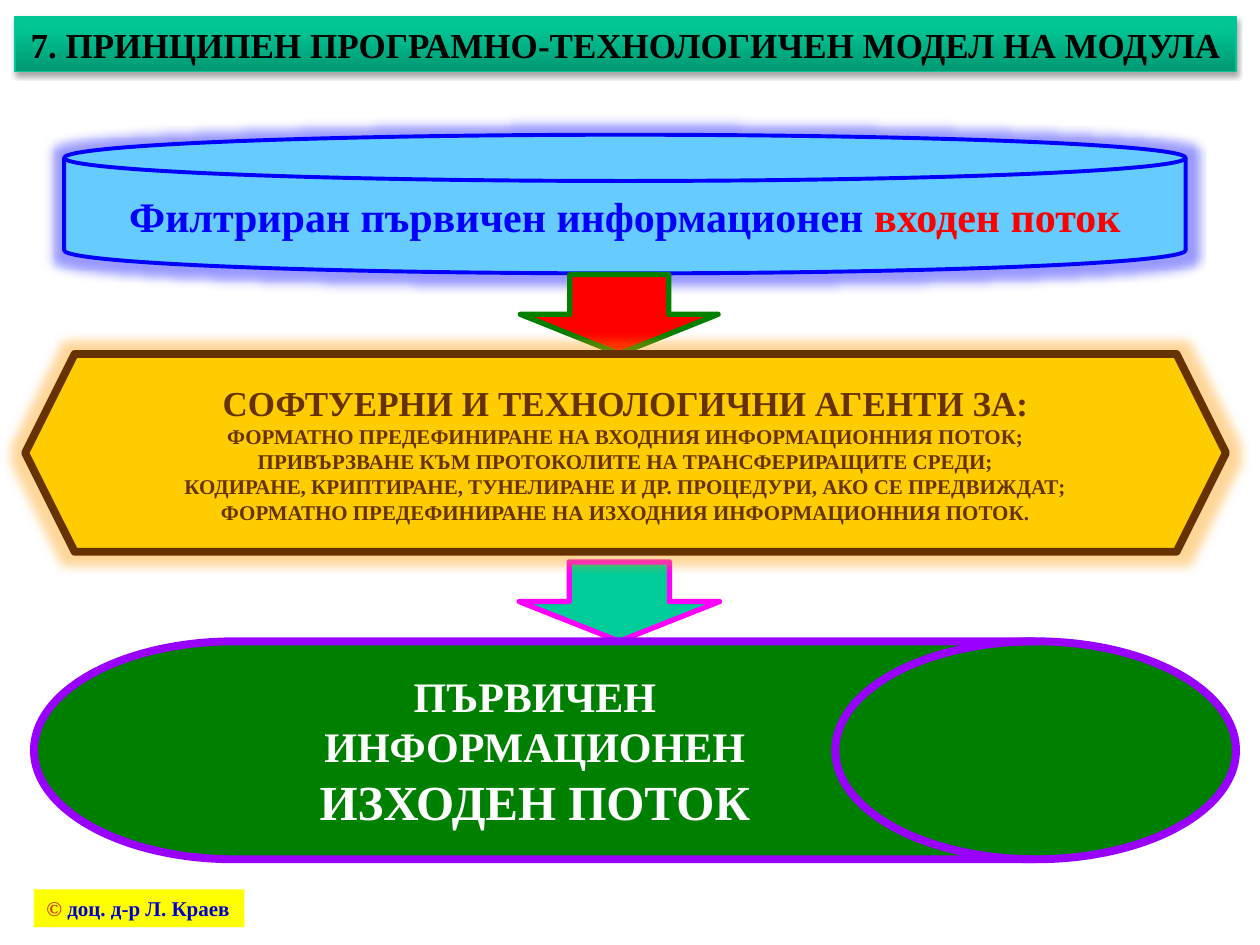
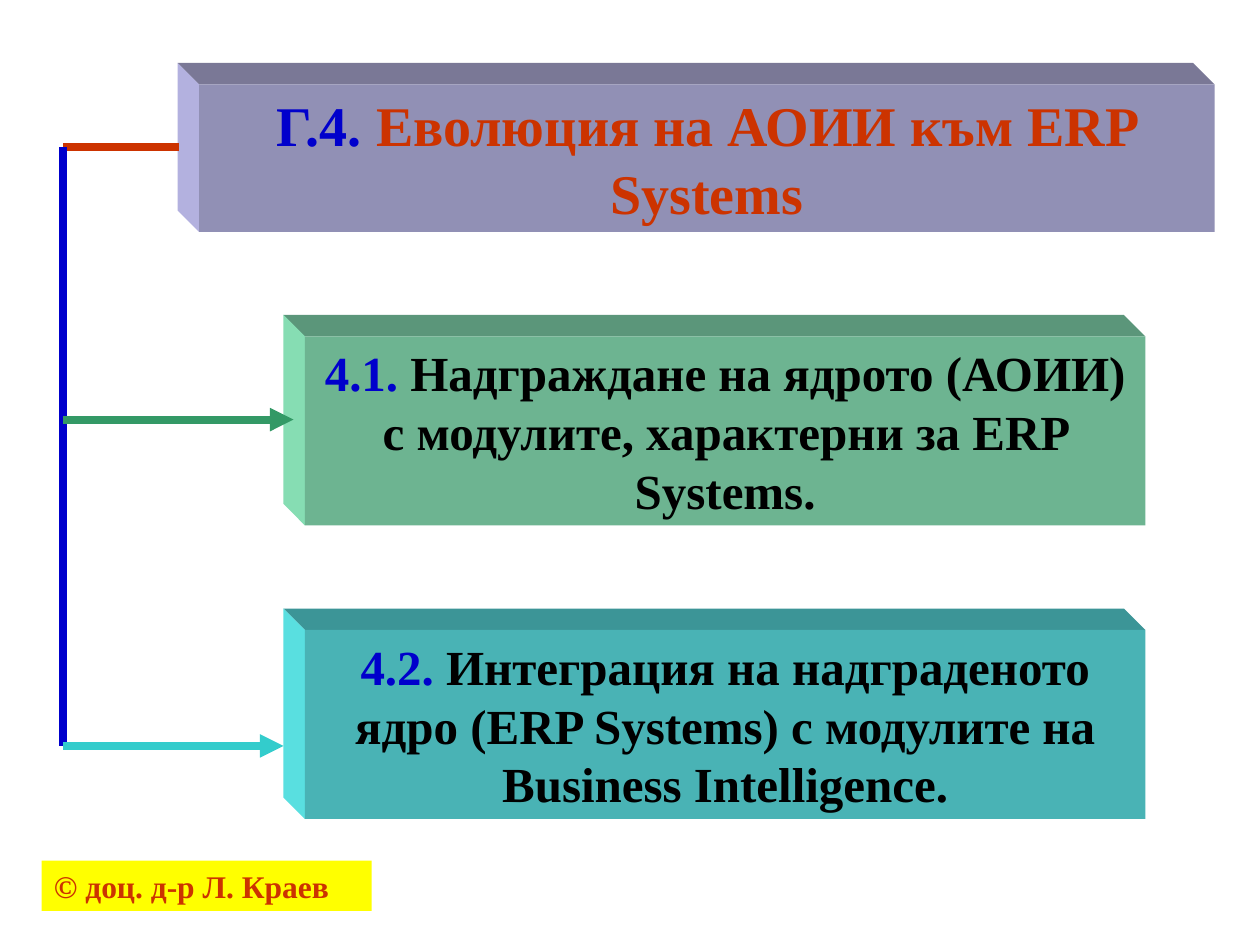
from lxml import etree
from pptx import Presentation
from pptx.dml.color import RGBColor
from pptx.enum.shapes import MSO_CONNECTOR, MSO_SHAPE
from pptx.enum.text import MSO_ANCHOR, PP_ALIGN
from pptx.oxml.ns import qn
from pptx.util import Inches, Pt

FONT = "Times New Roman"
LEFT, CENTER = PP_ALIGN.LEFT, PP_ALIGN.CENTER
MIDDLE = MSO_ANCHOR.MIDDLE
RECTANGLE, ARROW = MSO_SHAPE.RECTANGLE, MSO_SHAPE.DOWN_ARROW
DISK, DRUM = MSO_SHAPE.FLOWCHART_MAGNETIC_DISK, MSO_SHAPE.FLOWCHART_DIRECT_ACCESS_STORAGE
HEXAGON, STRAIGHT = MSO_SHAPE.HEXAGON, MSO_CONNECTOR.STRAIGHT

COLORS = {
    "black": "000000", "white": "FFFFFF", "yellow": "FFFF00", "rust": "CC3300",
    "navy": "0000CC", "blue": "0000FF", "sky": "66CCFF", "red": "FF0000",
    "green": "008000", "mint": "00CC99", "magenta": "FF00FF", "purple": "9900FF",
    "gold": "FFCC00", "brown": "663300", "orange": "FF9900",
    "band dark": "009872", "band light": "00C694",
    "sea": "339966", "turquoise": "33CCCC",
    "lilac front": "9190B5", "lilac top": "7A7896", "lilac side": "B3B1DF",
    "jade front": "6DB491", "jade top": "5B967A", "jade side": "86DDB3",
    "teal front": "49B3B5", "teal top": "3C9597", "teal side": "59DFE0",
}

# Content: a paragraph is a list of (text, size, color) spans
AUTHOR = "доц. д-р Л. Краев"
MODEL_TITLE = [("7. ПРИНЦИПЕН ПРОГРАМНО-ТЕХНОЛОГИЧЕН МОДЕЛ НА МОДУЛА", 20, "black")]
INPUT_FLOW = [("Филтриран първичен информационен ", 24, "blue"),
              ("входен поток", 24, "red")]
AGENTS_HEADING = "СОФТУЕРНИ И ТЕХНОЛОГИЧНИ АГЕНТИ ЗА:"
AGENT_TASKS = [
    "ФОРМАТНО ПРЕДЕФИНИРАНЕ НА ВХОДНИЯ ИНФОРМАЦИОННИЯ ПОТОК;",
    "ПРИВЪРЗВАНЕ КЪМ ПРОТОКОЛИТЕ НА ТРАНСФЕРИРАЩИТЕ СРЕДИ;",
    "КОДИРАНЕ, КРИПТИРАНЕ, ТУНЕЛИРАНЕ И ДР. ПРОЦЕДУРИ, АКО СЕ ПРЕДВИЖДАТ;",
    "ФОРМАТНО ПРЕДЕФИНИРАНЕ НА ИЗХОДНИЯ ИНФОРМАЦИОННИЯ ПОТОК.",
]
AGENTS = [[(AGENTS_HEADING, 20, "brown")]] + [[(task, 12, "brown")] for task in AGENT_TASKS]
OUTPUT_FLOW = [("ПЪРВИЧЕН ИНФОРМАЦИОНЕН ", 24, "white"), ("ИЗХОДЕН ПОТОК", 28, "white")]

# Blocks: place, color family, number, text, size, text color
BLOCKS = [
    ((1.58, 0.67, 8.06, 1.17), "lilac", "Г.4.",
     " Еволюция на АОИИ към ERP Systems", 32, "rust"),
    ((2.42, 2.67, 6.67, 1.5), "jade", "4.1.",
     " Надграждане на ядрото (АОИИ) с модулите, характерни за ERP Systems.", 28, "black"),
    ((2.42, 5, 6.67, 1.5), "teal", "4.2.",
     " Интеграция на надграденото ядро (ERP Systems) с модулите на Business Intelligence.",
     28, "black"),
]
BLOCK_DEPTH = 0.17

# Branches: from, to, color, arrowhead
TRUNK_X, TRUNK_TOP, TRUNK_BOTTOM = 0.5, 1.17, 5.92
BRANCHES = [
    ((1.42, TRUNK_TOP), (TRUNK_X, TRUNK_TOP), "rust", False),
    ((TRUNK_X, TRUNK_TOP), (TRUNK_X, TRUNK_BOTTOM), "navy", False),
    ((TRUNK_X, 3.33), (2.33, 3.33), "sea", True),
    ((TRUNK_X, TRUNK_BOTTOM), (2.25, TRUNK_BOTTOM), "turquoise", True),
]


def rgb(name):
    return RGBColor.from_string(COLORS[name])


def paint(shape, fill, line=None, width=0):
    shape.shadow.inherit = False
    shape.fill.solid()
    shape.fill.fore_color.rgb = rgb(fill)
    if line:
        shape.line.color.rgb = rgb(line)
        shape.line.width = Pt(width)
    else:
        shape.line.fill.background()


def write(shape, paragraphs, align=CENTER, wrap=True):
    frame = shape.text_frame
    frame.word_wrap = wrap
    frame.vertical_anchor = MIDDLE
    for index, spans in enumerate(paragraphs):
        para = frame.add_paragraph() if index else frame.paragraphs[0]
        para.alignment = align
        para.font.name = FONT
        para.font.bold = True
        for text, size, color in spans:
            span = para.add_run()
            span.text = text
            span.font.size = Pt(size)
            span.font.color.rgb = rgb(color)


def add_box(page, kind, place, fill, line=None, width=0, paragraphs=(), **layout):
    box = page.shapes.add_shape(kind, *map(Inches, place))
    paint(box, fill, line, width)
    write(box, paragraphs, **layout)
    return box


def add_effect(shape, tag, color, opacity, **settings):
    effects = shape._element.spPr.find(qn("a:effectLst"))
    effect = etree.SubElement(effects, qn(tag), {k: str(v) for k, v in settings.items()})
    tint = etree.SubElement(effect, qn("a:srgbClr"), val=COLORS[color])
    etree.SubElement(tint, qn("a:alpha"), val=str(opacity * 1000))


def add_glow(shape, color):
    add_effect(shape, "a:glow", color, 40, rad=Pt(11))


def add_footer(page, place, size, sign_color, name_color, wrap):
    spans = [("© ", size, sign_color), (AUTHOR, size, name_color)]
    add_box(page, RECTANGLE, place, "yellow", paragraphs=[spans], align=LEFT, wrap=wrap)


def add_face(page, points, color):
    corners = [(Inches(x), Inches(y)) for x, y in points]
    builder = page.shapes.build_freeform(*corners[0])
    builder.add_line_segments(corners[1:], close=True)
    paint(builder.convert_to_shape(), color)


def add_block(page, place, family, number, text, size, color):
    left, top, width, height = place
    right, bottom = left + width, top + height
    back_left, back_top = left - BLOCK_DEPTH, top - BLOCK_DEPTH
    add_face(page, [(back_left, back_top), (right - BLOCK_DEPTH, back_top),
                    (right, top), (left, top)], family + " top")
    add_face(page, [(back_left, back_top), (left, top), (left, bottom),
                    (back_left, bottom - BLOCK_DEPTH)], family + " side")
    add_box(page, RECTANGLE, place, family + " front",
            paragraphs=[[(number, size, "navy"), (text, size, color)]])


def add_branch(page, start, end, color, arrowhead):
    branch = page.shapes.add_connector(STRAIGHT, *map(Inches, start + end))
    branch.line.color.rgb = rgb(color)
    branch.line.width = Pt(4.5)
    if arrowhead:
        etree.SubElement(branch.line._get_or_add_ln(), qn("a:tailEnd"), type="triangle")
    etree.SubElement(branch._element.spPr, qn("a:effectLst"))


def build_model(page):
    # Title band
    band = add_box(page, RECTANGLE, (0.12, 0.13, 9.69, 0.44), "band light",
                   "band light", 0.75, [MODEL_TITLE])
    band.fill.gradient()
    band.fill.gradient_angle = 90
    for stop, color, position in zip(band.fill.gradient_stops,
                                     ("band dark", "band light"), (0, 0.8)):
        stop.color.rgb = rgb(color)
        stop.position = position
    add_effect(band, "a:outerShdw", "black", 35, blurRad=Pt(3.1), dist=Pt(1.8),
               dir=90 * 60000, rotWithShape=0)
    add_footer(page, (0.27, 7.06, 1.67, 0.3), 12, "rust", "navy", False)

    # Flow from input to output; the agents lie over the arrows
    source = add_box(page, DISK, (0.51, 1.07, 8.9, 1.1), "sky", "blue", 2.25, [INPUT_FLOW])
    add_glow(source, "blue")
    add_box(page, ARROW, (4.13, 2.18, 1.57, 0.63), "red", "green", 3)
    add_box(page, ARROW, (4.12, 4.46, 1.59, 0.63), "mint", "magenta", 3)
    add_box(page, DRUM, (0.27, 5.09, 9.54, 1.73), "green", "purple", 4.5, [OUTPUT_FLOW])
    agents = add_box(page, HEXAGON, (0.2, 2.81, 9.53, 1.57), "gold", "brown", 4.5, AGENTS)
    add_glow(agents, "orange")


def build_evolution(page):
    for block in BLOCKS:
        add_block(page, *block)
    add_footer(page, (0.33, 6.83, 2.62, 0.4), 18, "rust", "rust", True)
    for branch in BRANCHES:
        add_branch(page, *branch)


def main():
    deck = Presentation()
    deck.slide_width, deck.slide_height = Inches(10), Inches(7.5)
    for build in (build_model, build_evolution):
        build(deck.slides.add_slide(deck.slide_layouts[6]))
    deck.save("out.pptx")


if __name__ == "__main__":
    main()
